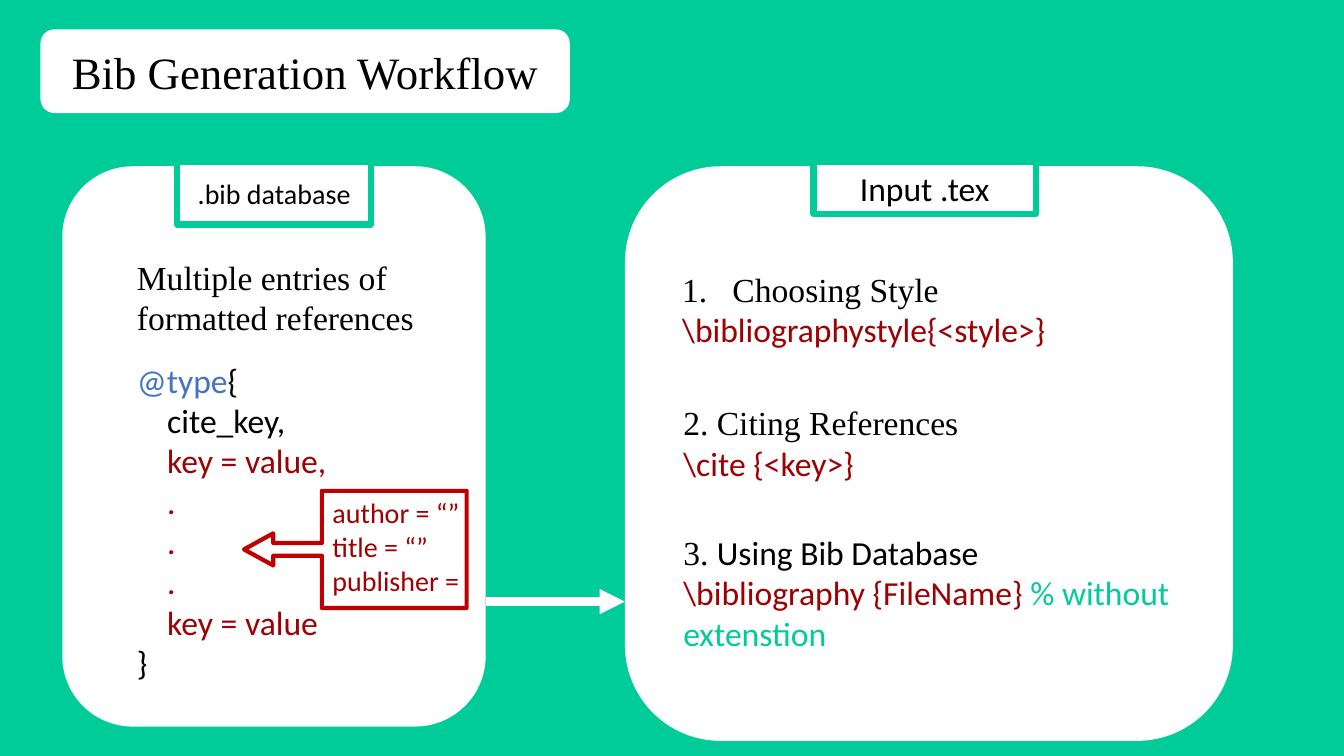
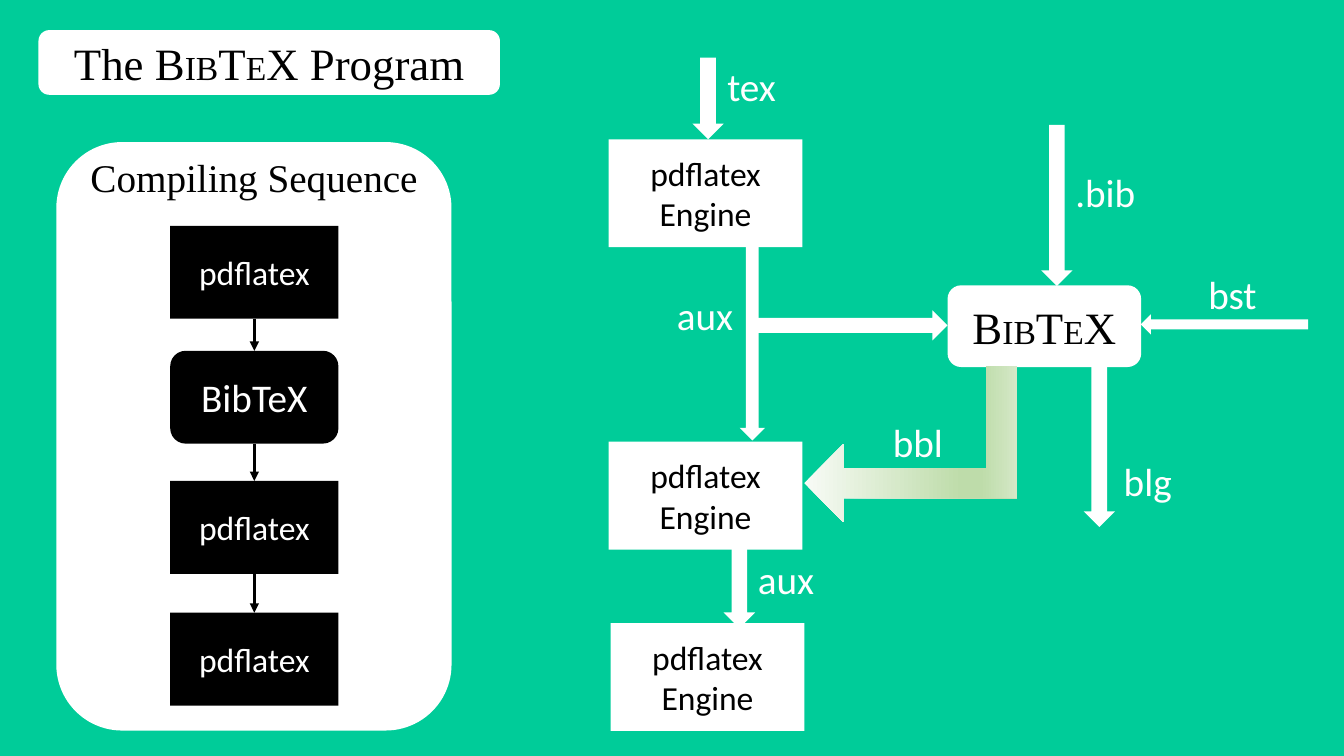
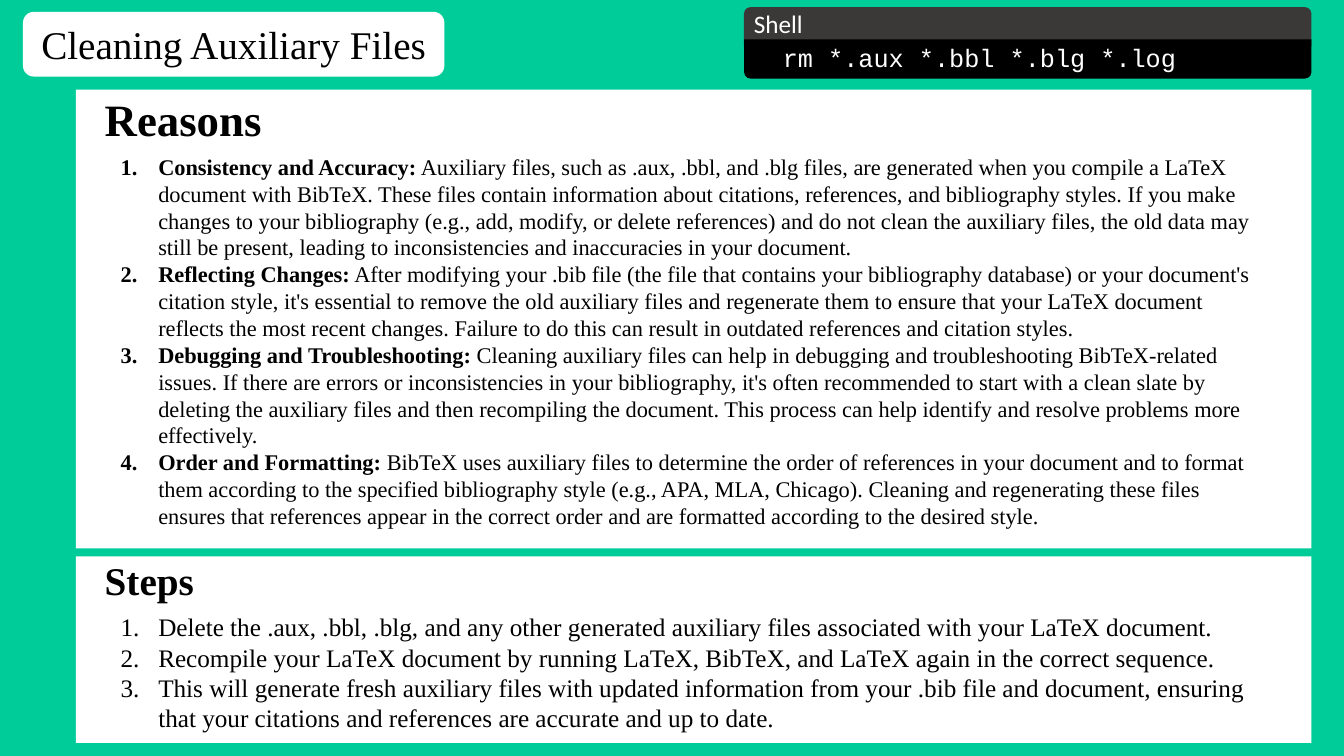
from dataclasses import dataclass, replace
from itertools import pairwise

from lxml.etree import SubElement
from pptx import Presentation
from pptx.dml.color import RGBColor as Rgb
from pptx.enum.shapes import MSO_CONNECTOR as Line, MSO_SHAPE as Shape
from pptx.enum.text import MSO_ANCHOR as Anchor, PP_ALIGN as Align
from pptx.oxml.ns import qn
from pptx.util import Cm, Pt


@dataclass(frozen=True)
class Style:
    font: str
    size: int
    colour: str
    bold: bool = False


@dataclass(frozen=True)
class Theme:
    green: str = "00CC99"
    white: str = "FFFFFF"
    black: str = "000000"
    dark_red: str = "9F0003"
    red: str = "C00000"
    blue: str = "4472C4"
    bar: str = "3B3838"
    fade: tuple = ((0, "F8FBF6"), (74, "BEDCAA"), (83, "BEDCAA"), (100, "D4E8C6"))
    title: Style = Style("Times New Roman", 32, "000000")
    heading: Style = Style("Times New Roman", 28, "000000")
    serif: Style = Style("Times New Roman", 24, "000000")
    sans: Style = Style("Calibri", 24, "000000")
    label: Style = Style("Calibri", 28, "FFFFFF")
    small: Style = Style("Calibri", 20, "000000")
    reason: Style = Style("Times New Roman", 16, "000000")
    step: Style = Style("Times New Roman", 18, "000000")
    shell: Style = Style("Courier New", 18, "FFFFFF")
    shell_name: Style = Style("Calibri", 18, "FFFFFF")


theme = Theme()


def add_box(page, kind, place, paragraphs=(), fill=None, line=None, numbered=0, indent=0.95):
    """Add a shape, or a text box when kind is None; place is in centimetres.

    Each paragraph is a list of (text, style); the first `numbered` ones get numbers.
    """
    place = [Cm(length) for length in place]
    if kind is None:
        box = page.shapes.add_textbox(*place)
    else:
        box = page.shapes.add_shape(kind, *place)
        box.shadow.inherit = False
        box.fill.solid()
        box.fill.fore_color.rgb = Rgb.from_string(fill or theme.white)
        if line:
            box.line.color.rgb = Rgb.from_string(line[0])
            box.line.width = Pt(line[1])
        else:
            box.line.fill.background()
    frame = box.text_frame
    frame.word_wrap = True
    frame.vertical_anchor = Anchor.TOP if kind is None else Anchor.MIDDLE
    for index, spans in enumerate(paragraphs):
        para = frame.add_paragraph() if index else frame.paragraphs[0]
        para.text = spans[0][0]
        for text, _ in spans[1:]:
            para.add_run().text = text
        para.alignment = Align.LEFT if kind is None else Align.CENTER
        if index < numbered:
            properties = para._p.get_or_add_pPr()
            properties.set("marL", str(Cm(indent)))
            properties.set("indent", str(-Cm(indent)))
            SubElement(properties, qn("a:buFont"), typeface="+mj-lt")
            SubElement(properties, qn("a:buAutoNum"), type="arabicPeriod")
        for span, (_, style) in zip(para.runs, spans):
            span.font.name = style.font
            span.font.size = Pt(style.size)
            span.font.bold = style.bold
            span.font.color.rgb = Rgb.from_string(style.colour)
    return box


def add_arrow(page, start, end, colour, width):
    """Add a straight line with an arrowhead at its end."""
    arrow = page.shapes.add_connector(Line.STRAIGHT, *[Cm(c) for c in (*start, *end)])
    arrow.line.color.rgb = Rgb.from_string(colour)
    arrow.line.width = Pt(width)
    properties = arrow.element.spPr
    SubElement(properties.find(qn("a:ln")), qn("a:tailEnd"), type="triangle")
    SubElement(properties, qn("a:effectLst"))
    return arrow


# Deck and shared background
deck = Presentation()
deck.slide_width, deck.slide_height = Cm(33.87), Cm(19.05)
background = deck.slide_master.background.fill
background.solid()
background.fore_color.rgb = Rgb.from_string(theme.green)

# Pages with their titles
small_caps = replace(theme.title, size=24)
bibtex = [("B", theme.title), ("IB", small_caps), ("T", theme.title),
          ("E", small_caps), ("X", theme.title)]
titles = [
    ((1.02, 0.74, 13.34, 2.11), [("Bib Generation Workflow", theme.title)]),
    ((0.97, 0.76, 11.63, 1.63),
     [("The B", theme.title), *bibtex[1:4], ("X Program", theme.title)]),
    ((0.58, 0.3, 10.62, 1.63), [("Cleaning Auxiliary Files", theme.heading)]),
]
pages = []
for place, spans in titles:
    page = deck.slides.add_slide(deck.slide_layouts[6])
    add_box(page, Shape.ROUNDED_RECTANGLE, place, [spans])
    pages.append(page)
workflow, program, cleaning = pages

# Workflow: panels with tabs
panels = [
    ((1.57, 4.19, 10.67, 14.12), (4.47, 4.09, 4.88, 1.57), ".bib database", theme.small),
    ((15.75, 4.19, 15.32, 14.48), (20.5, 4.09, 5.61, 1.3), "Input .tex", theme.sans),
]
for panel, tab, name, style in panels:
    add_box(workflow, Shape.ROUNDED_RECTANGLE, panel)
    add_box(workflow, Shape.RECTANGLE, tab, [[(name, style)]], line=(theme.green, 4.5))

# Workflow: commands in the input file
code = replace(theme.sans, colour=theme.dark_red)
comment = replace(theme.sans, colour=theme.green)
add_box(workflow, None, (16.94, 6.65, 12.88, 2.31),
        [[("Choosing Style", theme.serif)], [(r"\bibliographystyle{<style>}", code)]],
        numbered=1, indent=1.27)
add_box(workflow, None, (16.97, 10.01, 12.88, 2.31),
        [[("2. Citing References", theme.serif)], [(r"\cite {<key>}", code)]])
add_box(workflow, None, (16.97, 13.28, 12.88, 3.33),
        [[("3. ", theme.serif), ("Using Bib Database", theme.sans)],
         [(r"\bibliography {FileName} ", code), ("% without extenstion", comment)]])

# Workflow: database entry
add_box(workflow, None, (3.2, 6.35, 8.94, 2.31),
        [[("Multiple entries of formatted references", theme.serif)]])
entry = [[("@type", replace(theme.sans, colour=theme.blue)), ("{", theme.sans)],
         [("    cite_key,", theme.sans)]]
for text in ("key = value,", ".", ".", ".", "key = value"):
    entry.append([("    " + text, code)])
entry.append([("}", theme.sans)])
add_box(workflow, None, (3.2, 8.94, 7.24, 8.46), entry)
add_arrow(workflow, (12.24, 15.16), (15.75, 15.16), theme.white, 6)

# Workflow: callout with example keys
callout = add_box(workflow, Shape.LEFT_ARROW_CALLOUT, (6.15, 12.37, 5.61, 2.95),
                  line=(theme.red, 3))
for index, value in enumerate((0.109, 0.137, 0.25, 0.65)):
    callout.adjustments[index] = value
example = replace(theme.small, colour=theme.dark_red)
add_box(workflow, None, (8.13, 12.37, 3.73, 2.82),
        [[(text, example)] for text in ("author = “”", "title = “”", "publisher =")])

# Program: engines and BibTeX
for left, top in ((15.34, 3.51), (15.34, 11.13), (15.39, 15.7)):
    add_box(program, Shape.RECTANGLE, (left, top, 4.88, 2.72),
            [[("pdflatex Engine", theme.sans)]])
add_box(program, Shape.ROUNDED_RECTANGLE, (23.88, 7.19, 4.88, 2.06), [bibtex])

# Program: file flow
flows = [
    (Shape.DOWN_ARROW, (17.45, 1.45, 0.79, 2.06)),
    (Shape.DOWN_ARROW, (18.64, 6.22, 0.64, 4.88)),
    (Shape.RIGHT_ARROW, (18.95, 7.82, 4.93, 0.76)),
    (Shape.DOWN_ARROW, (27.31, 9.22, 0.79, 4.06)),
    (Shape.LEFT_ARROW, (28.75, 7.92, 4.22, 0.51)),
    (Shape.DOWN_ARROW, (26.24, 3.15, 0.79, 4.06)),
    (Shape.DOWN_ARROW, (18.24, 13.77, 0.79, 2.06)),
]
for kind, place in flows:
    add_box(program, kind, place)

# Program: bent arrow that fades towards its tip
bent = add_box(program, Shape.BENT_UP_ARROW, (20.98, 8.51, 3.94, 5.36))
bent.rotation = 90
bent.element.spPr.find(qn("a:xfrm")).set("flipV", "1")
for index, value in enumerate((0.193, 0.25, 0.25)):
    bent.adjustments[index] = value
bent.fill.gradient()
bent.fill.gradient_angle = 270
stops = bent.element.spPr.find(qn("a:gradFill")).find(qn("a:gsLst"))
for stop in list(stops):
    stops.remove(stop)
for percent, colour in theme.fade:
    stop = SubElement(stops, qn("a:gs"), pos=str(percent * 1000))
    SubElement(stop, qn("a:srgbClr"), val=colour)

# Program: file labels
labels = [("tex", 18.08, 1.45), ("aux", 16.81, 7.21), ("blg", 28.07, 11.4),
          ("bst", 30.2, 6.68), (".bib", 26.85, 4.11), ("bbl", 22.25, 10.41),
          ("aux", 18.85, 13.87)]
for text, left, top in labels:
    add_box(program, None, (left, top, 2.54, 1.45), [[(text, theme.label)]])

# Program: compiling sequence
add_box(program, Shape.ROUNDED_RECTANGLE, (1.42, 3.58, 9.96, 14.83))
add_box(program, None, (2.03, 3.73, 9.6, 1.45), [[("Compiling Sequence", theme.heading)]])
run_style = replace(theme.sans, colour=theme.white)
sequence = []
for kind, top, text, style in (
    (Shape.RECTANGLE, 5.69, "pdflatex", run_style),
    (Shape.ROUNDED_RECTANGLE, 8.84, "BibTeX", theme.label),
    (Shape.RECTANGLE, 12.12, "pdflatex", run_style),
    (Shape.RECTANGLE, 15.44, "pdflatex", run_style),
):
    sequence.append(add_box(program, kind, (4.29, top, 4.24, 2.34), [[(text, style)]],
                            fill=theme.black))
for upper, lower in pairwise(sequence):
    arrow = add_arrow(program, (0, 0), (0, 0), theme.black, 2.25)
    arrow.begin_connect(upper, 2)
    arrow.end_connect(lower, 0)

# Cleaning: reasons and steps
reasons = [
    ("Consistency and Accuracy:",
     " Auxiliary files, such as .aux, .bbl, and .blg files, are generated when you compile "
     "a LaTeX document with BibTeX. These files contain information about citations, "
     "references, and bibliography styles. If you make changes to your bibliography (e.g., "
     "add, modify, or delete references) and do not clean the auxiliary files, the old data "
     "may still be present, leading to inconsistencies and inaccuracies in your document."),
    ("Reflecting Changes:",
     " After modifying your .bib file (the file that contains your bibliography database) or "
     "your document's citation style, it's essential to remove the old auxiliary files and "
     "regenerate them to ensure that your LaTeX document reflects the most recent changes. "
     "Failure to do this can result in outdated references and citation styles."),
    ("Debugging and Troubleshooting:",
     " Cleaning auxiliary files can help in debugging and troubleshooting BibTeX-related "
     "issues. If there are errors or inconsistencies in your bibliography, it's often "
     "recommended to start with a clean slate by deleting the auxiliary files and then "
     "recompiling the document. This process can help identify and resolve problems more "
     "effectively."),
    ("Order and Formatting:",
     " BibTeX uses auxiliary files to determine the order of references in your document and "
     "to format them according to the specified bibliography style (e.g., APA, MLA, Chicago). "
     "Cleaning and regenerating these files ensures that references appear in the correct "
     "order and are formatted according to the desired style."),
]
steps = [
    "Delete the .aux, .bbl, .blg, and any other generated auxiliary files associated with "
    "your LaTeX document.",
    "Recompile your LaTeX document by running LaTeX, BibTeX, and LaTeX again in the correct "
    "sequence.",
    "This will generate fresh auxiliary files with updated information from your .bib file "
    "and document, ensuring that your citations and references are accurate and up to date.",
]
bold_reason = replace(theme.reason, bold=True)
reason_lines = [[(name, bold_reason), (text, theme.reason)] for name, text in reasons]
step_lines = [[(text, theme.step)] for text in steps]
sections = [
    ("Reasons", theme.title, 2.18, (2.26, 11.56), (3.73, 9.83), reason_lines),
    ("Steps", theme.heading, 13.9, (14.02, 4.7), (15.29, 3.33), step_lines),
]
for name, style, name_top, panel, body, lines in sections:
    add_box(cleaning, Shape.RECTANGLE, (1.91, panel[0], 31.14, panel[1]))
    add_box(cleaning, None, (2.39, name_top, 6.96, 1.63),
            [[(name, replace(style, bold=True))]])
    add_box(cleaning, None, (2.79, body[0], 29.39, body[1]), lines, numbered=len(lines))

# Cleaning: shell window
add_box(cleaning, Shape.ROUND_2_SAME_RECTANGLE, (18.75, 0.18, 14.3, 0.99), fill=theme.bar)
screen = add_box(cleaning, Shape.ROUND_2_SAME_RECTANGLE, (18.75, 0.99, 14.3, 0.99),
                 fill=theme.black)
screen.rotation = 180
add_box(cleaning, None, (19.48, 0.94, 12.9, 1.02),
        [[("rm *.aux *.bbl *.blg *.log", theme.shell)]])
add_box(cleaning, None, (18.75, 0.08, 3.81, 1.02), [[("Shell", theme.shell_name)]])

deck.save("out.pptx")
